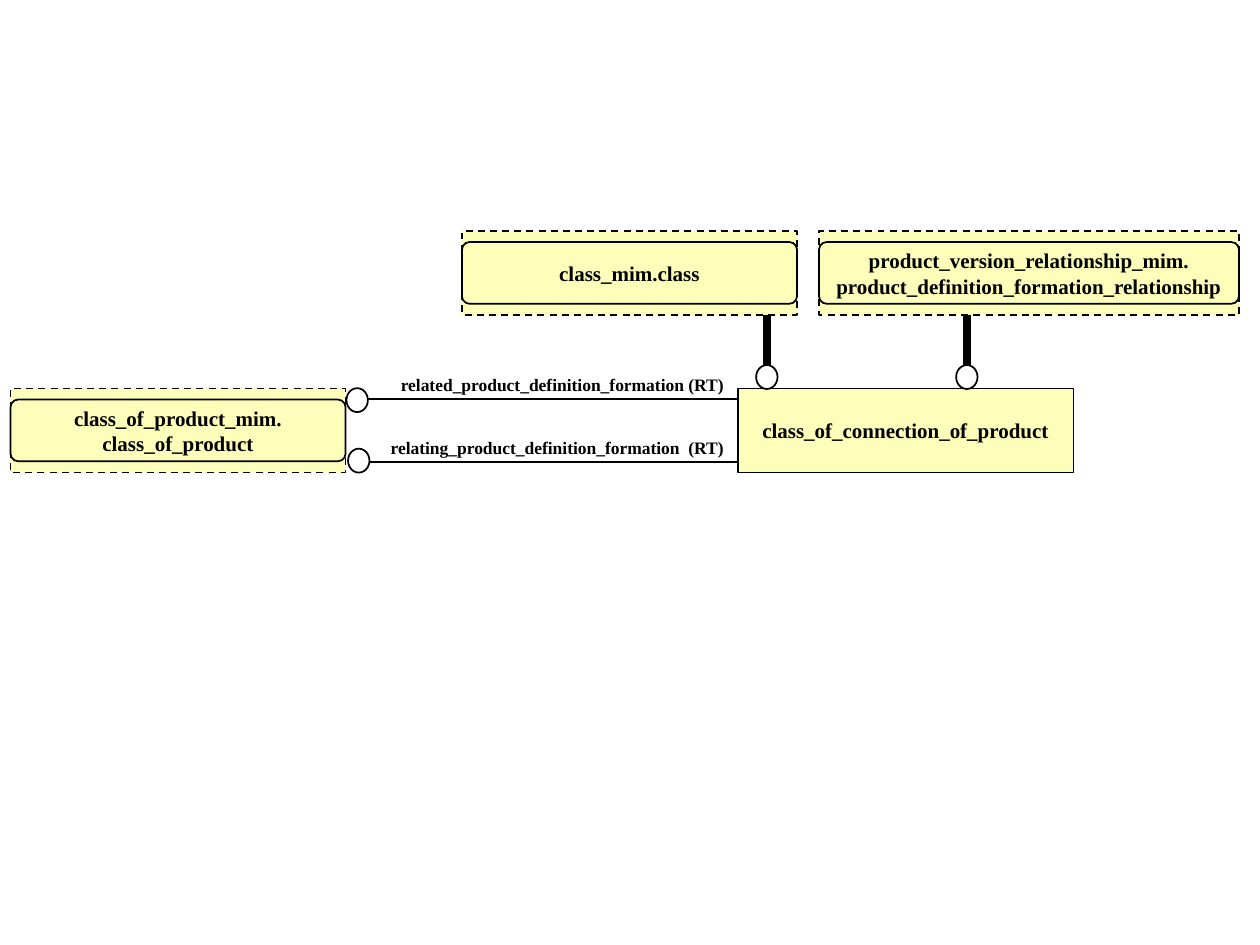
import pptx
import pptx.util
import pptx.dml.color
import pptx.enum.dml
import pptx.enum.shapes
import pptx.enum.text
import pptx.oxml

Pt = pptx.util.Pt
SHAPE = pptx.enum.shapes.MSO_SHAPE
ALIGN = pptx.enum.text.PP_ALIGN
BLACK = pptx.dml.color.RGBColor(0x00, 0x00, 0x00)
WHITE = pptx.dml.color.RGBColor(0xFF, 0xFF, 0xFF)
YELLOW = pptx.dml.color.RGBColor(0xFC, 0xFE, 0xB9)
BOX_H = 48
CIRCLE_W, CIRCLE_H = 12.24, 13.68
EFFECTS = '<a:effectLst xmlns:a="http://schemas.openxmlformats.org/drawingml/2006/main"/>'


def write_text(sp, lines, size, align, anchor, wrap):
    tf = sp.text_frame
    frame_format = {"word_wrap": wrap, "vertical_anchor": anchor,
                    "margin_left": Pt(7.2), "margin_right": Pt(7.2),
                    "margin_top": Pt(3.6), "margin_bottom": Pt(3.6)}
    for name, value in frame_format.items():
        setattr(tf, name, value)
    for i, line in enumerate(lines):
        p = tf.paragraphs[0] if i == 0 else tf.add_paragraph()
        p.alignment = align
        r = p.add_run()
        r.text = line
        for name, value in {"name": "Times New Roman", "size": Pt(size), "bold": True}.items():
            setattr(r.font, name, value)
        r.font.color.rgb = BLACK


def add_outline(shapes, kind, box, fill=None, dash=None):
    sp = shapes.add_shape(kind, *map(Pt, box))
    sp.shadow.inherit = False
    if fill is None:
        sp.fill.background()
    else:
        sp.fill.solid()
        sp.fill.fore_color.rgb = fill
    sp.line.color.rgb = BLACK
    sp.line.width = Pt(1)
    if dash is not None:
        sp.line.dash_style = dash
    return sp


def add_entity(shapes, box, lines, dash=None):
    sp = add_outline(shapes, SHAPE.RECTANGLE, box, YELLOW, dash)
    write_text(sp, lines, 12, ALIGN.CENTER, pptx.enum.text.MSO_ANCHOR.MIDDLE, False)
    return sp


def add_referenced_entity(shapes, box, lines):
    x, y, w, h = box
    grp = shapes.add_group_shape()
    add_entity(grp.shapes, box, lines, pptx.enum.dml.MSO_LINE.DASH)
    sp = add_outline(grp.shapes, SHAPE.ROUNDED_RECTANGLE, (x, y + 6.3, w, h - 12.7))
    sp.adjustments[0] = 0.125


def add_circle(shapes, x, y):
    return add_outline(shapes, SHAPE.OVAL, (x, y, CIRCLE_W, CIRCLE_H), WHITE)


def add_line(shapes, start, end, width):
    cxn = shapes.add_connector(pptx.enum.shapes.MSO_CONNECTOR.STRAIGHT,
                               *map(Pt, (*start, *end)))
    cxn.line.color.rgb = BLACK
    cxn.line.width = Pt(width)
    cxn._element.spPr.append(pptx.oxml.parse_xml(EFFECTS))
    return cxn


def add_attribute(shapes, box, circle_at, label):
    x, y, w, h = box
    add_line(shapes, (x, y + h), (x + w, y + h), 1)
    sp = shapes.add_textbox(*map(Pt, (x, y, w - 1, 19.4)))
    write_text(sp, [label], 10, ALIGN.RIGHT, pptx.enum.text.MSO_ANCHOR.TOP, True)
    add_circle(shapes, *circle_at)


def add_supertype_link(shapes, x, top, bottom):
    cxn = add_line(shapes, (x, top), (x, bottom), 4.5)
    circle = add_circle(shapes, x - CIRCLE_W / 2, bottom)
    cxn.end_connect(circle, 0)


def main():
    prs = pptx.Presentation()
    prs.slide_width, prs.slide_height = Pt(720), Pt(540)
    s = prs.slides.add_slide(prs.slide_layouts[6])
    shapes = s.shapes

    add_entity(shapes, (421.5, 222, 192, BOX_H), ["class_of_connection_of_product"])
    add_attribute(shapes, (210, 210, 211.5, 18), (198, 221.8),
                  "related_product_definition_formation (RT)")
    add_attribute(shapes, (210, 246, 211.5, 18), (198.9, 256.4),
                  "relating_product_definition_formation  (RT)")
    add_referenced_entity(shapes, (6, 222, 191.5, BOX_H),
                          ["class_of_product_mim.", "class_of_product"])
    add_referenced_entity(shapes, (468, 132, 240, BOX_H),
                          ["product_version_relationship_mim.",
                           "product_definition_formation_relationship"])
    add_referenced_entity(shapes, (264, 132, 191.5, BOX_H), ["class_mim.class"])
    for x in (438.2, 552.5):
        add_supertype_link(shapes, x, 180, 208.6)

    prs.save("out.pptx")


if __name__ == "__main__":
    main()
